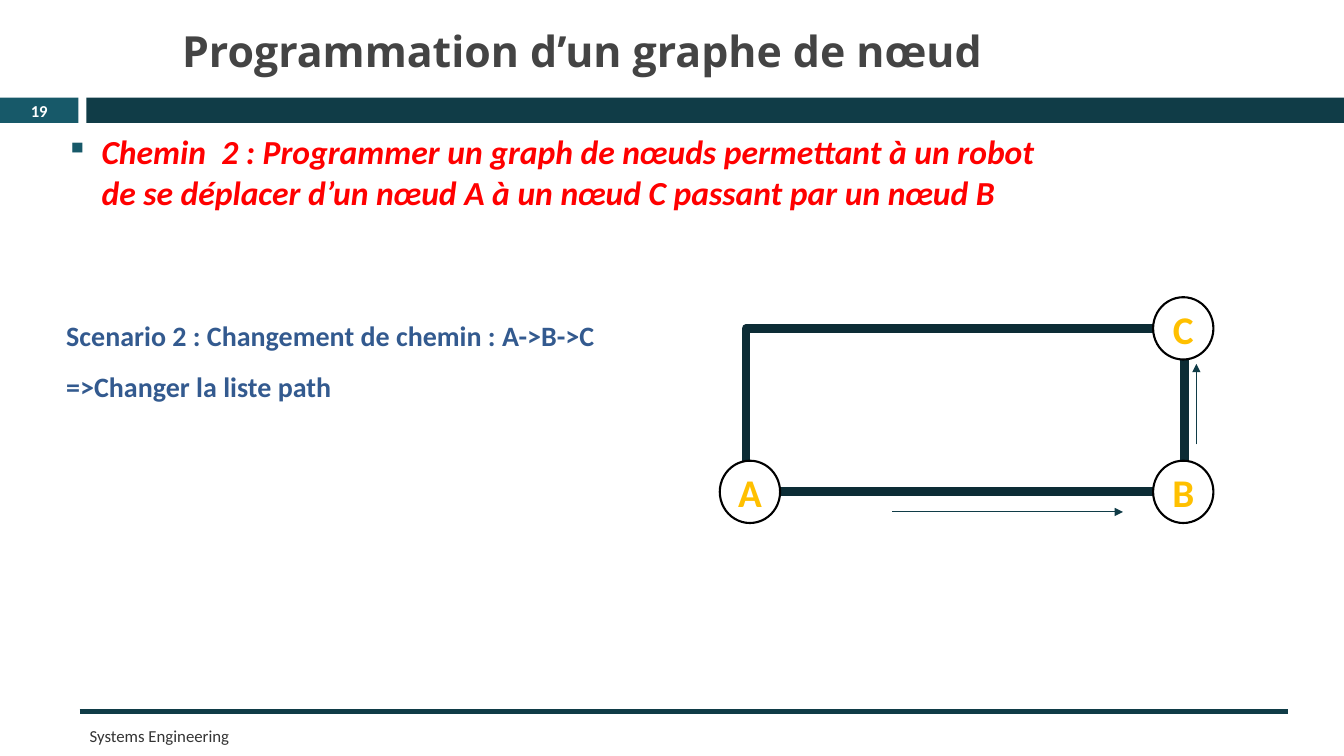
from dataclasses import dataclass

from lxml import etree
from pptx import Presentation
from pptx import util as u
from pptx.dml.color import RGBColor
from pptx.enum import shapes, text
from pptx.oxml import ns

WHITE = RGBColor(0xFF, 0xFF, 0xFF)
BLACK = RGBColor(0x00, 0x00, 0x00)
TEAL = RGBColor(0x17, 0x59, 0x69)
DARK_TEAL = RGBColor(0x10, 0x3C, 0x47)
PATH_TEAL = RGBColor(0x0C, 0x2C, 0x35)
TITLE_GREY = RGBColor(0x44, 0x44, 0x44)
FOOTER_GREY = RGBColor(0x34, 0x34, 0x34)
RED = RGBColor(0xFF, 0x00, 0x00)
BLUE = RGBColor(0x33, 0x5A, 0x8F)
AMBER = RGBColor(0xFF, 0xC0, 0x00)

NODE_WIDTH, NODE_HEIGHT = 1.52, 1.57
MIDDLE, TOP = text.MSO_ANCHOR.MIDDLE, text.MSO_ANCHOR.TOP


@dataclass(frozen=True)
class Area:
    """A rectangle in centimetres."""
    left: float
    top: float
    width: float
    height: float

    def lengths(self) -> list[u.Length]:
        return [u.Cm(v) for v in (self.left, self.top, self.width, self.height)]


@dataclass(frozen=True)
class Style:
    size: float
    color: RGBColor
    bold: bool = True
    italic: bool = False
    font: str = "Calibri"
    align: text.PP_ALIGN = text.PP_ALIGN.LEFT
    spacing: float = 1.0


@dataclass(frozen=True)
class Label:
    area: Area
    lines: tuple[str, ...]
    style: Style
    anchor: text.MSO_ANCHOR = MIDDLE
    bullet: bool = False


@dataclass(frozen=True)
class Node:
    name: str
    left: float
    top: float


@dataclass(frozen=True)
class Segment:
    start: tuple[float, float]
    end: tuple[float, float]
    weight: float
    arrow: bool = False


NODE_STYLE = Style(28, AMBER, align=text.PP_ALIGN.CENTER)
BARS = [(Area(0, 2.46, 1.98, 0.64), TEAL), (Area(2.18, 2.46, 31.69, 0.64), DARK_TEAL)]
LABELS = [
    Label(Area(0, 2.44, 1.98, 0.69), ("19",), Style(11.9, WHITE, align=text.PP_ALIGN.CENTER)),
    Label(Area(2.01, 18.14, 19.2, 0.79), ("Systems Engineering",),
          Style(12, FOOTER_GREY, bold=False)),
    Label(Area(4.34, 0.36, 20.68, 1.8), ("Programmation d’un graphe de nœud",),
          Style(30.6, TITLE_GREY, font="Open Sans")),
    Label(Area(1.42, 3.18, 25.86, 2.31),
          ("Chemin  2 : Programmer un graph de nœuds permettant à un robot "
           "de se déplacer d’un nœud A à un nœud C passant par un nœud B",),
          Style(24, RED, italic=True), TOP, bullet=True),
    Label(Area(1.42, 7.49, 16.94, 2.69),
          ("Scenario 2 : Changement de chemin : A->B->C", "=>Changer la liste path"),
          Style(20, BLUE, align=text.PP_ALIGN.JUSTIFY, spacing=1.5), TOP),
]
CIRCUIT = Area(18.8, 8.28, 11.05, 4.11)
NODES = [Node("A", 18.14, 11.61), Node("C", 29.06, 7.49), Node("B", 29.06, 11.61)]
SEGMENTS = [
    Segment((2.01, 17.93), (32.46, 17.93), 4),
    Segment((22.48, 12.9), (28.3, 12.9), 0.79, arrow=True),
    Segment((30.15, 11.2), (30.15, 9.17), 0.79, arrow=True),
]


def add_bullet(para) -> None:
    """Give the paragraph a square bullet with a hanging indent."""
    props = para._p.get_or_add_pPr()
    props.set("marL", str(u.Cm(0.89)))
    props.set("indent", str(-u.Cm(0.89)))
    color = etree.SubElement(props, ns.qn("a:buClr"))
    etree.SubElement(color, ns.qn("a:srgbClr"), val=str(TEAL))
    etree.SubElement(props, ns.qn("a:buSzPct"), val="90000")
    etree.SubElement(props, ns.qn("a:buChar"), char="▪")


def style_paragraph(para, style: Style) -> None:
    para.alignment = style.align
    para.line_spacing = style.spacing
    font = para.font
    font.name, font.size = style.font, u.Pt(style.size)
    font.bold, font.italic = style.bold, style.italic
    font.color.rgb = style.color


def add_label(page, label: Label) -> None:
    frame = page.shapes.add_textbox(*label.area.lengths()).text_frame
    frame.word_wrap = True
    frame.vertical_anchor = label.anchor
    frame.text = "\n".join(label.lines)
    for para in frame.paragraphs:
        if label.bullet:
            add_bullet(para)
        style_paragraph(para, label.style)


def add_figure(page, kind: shapes.MSO_SHAPE, area: Area, fill: RGBColor | None = None,
               line: RGBColor | None = None, weight: float = 0):
    """Add a preset shape; a missing colour means no fill or no outline."""
    figure = page.shapes.add_shape(kind, *area.lengths())
    figure.shadow.inherit = False
    if fill is None:
        figure.fill.background()
    else:
        figure.fill.solid()
        figure.fill.fore_color.rgb = fill
    if line is None:
        figure.line.fill.background()
    else:
        figure.line.color.rgb = line
        figure.line.width = u.Pt(weight)
    return figure


def add_node(page, node: Node) -> None:
    area = Area(node.left, node.top, NODE_WIDTH, NODE_HEIGHT)
    circle = add_figure(page, shapes.MSO_SHAPE.OVAL, area, WHITE, BLACK, 1.5)
    frame = circle.text_frame
    frame.margin_left = frame.margin_right = frame.margin_top = frame.margin_bottom = 0
    frame.vertical_anchor = MIDDLE
    frame.text = node.name
    style_paragraph(frame.paragraphs[0], NODE_STYLE)


def add_segment(page, segment: Segment) -> None:
    ends = [u.Cm(v) for v in segment.start + segment.end]
    connector = page.shapes.add_connector(shapes.MSO_CONNECTOR.STRAIGHT, *ends)
    connector.line.color.rgb = DARK_TEAL
    connector.line.width = u.Pt(segment.weight)
    if segment.arrow:
        etree.SubElement(connector.line._get_or_add_ln(), ns.qn("a:tailEnd"), type="triangle")
    etree.SubElement(connector._element.spPr, ns.qn("a:effectLst"))


def main() -> None:
    deck = Presentation()
    deck.slide_width, deck.slide_height = u.Cm(33.87), u.Cm(19.05)
    page = deck.slides.add_slide(deck.slide_layouts[6])
    for area, color in BARS:
        add_figure(page, shapes.MSO_SHAPE.RECTANGLE, area, color)
    for label in LABELS:
        add_label(page, label)
    circuit = add_figure(page, shapes.MSO_SHAPE.RECTANGLE, CIRCUIT, line=PATH_TEAL, weight=6)
    etree.SubElement(circuit.line._get_or_add_ln(), ns.qn("a:round"))
    for node in NODES:
        add_node(page, node)
    for segment in SEGMENTS:
        add_segment(page, segment)
    deck.save("out.pptx")


if __name__ == "__main__":
    main()
